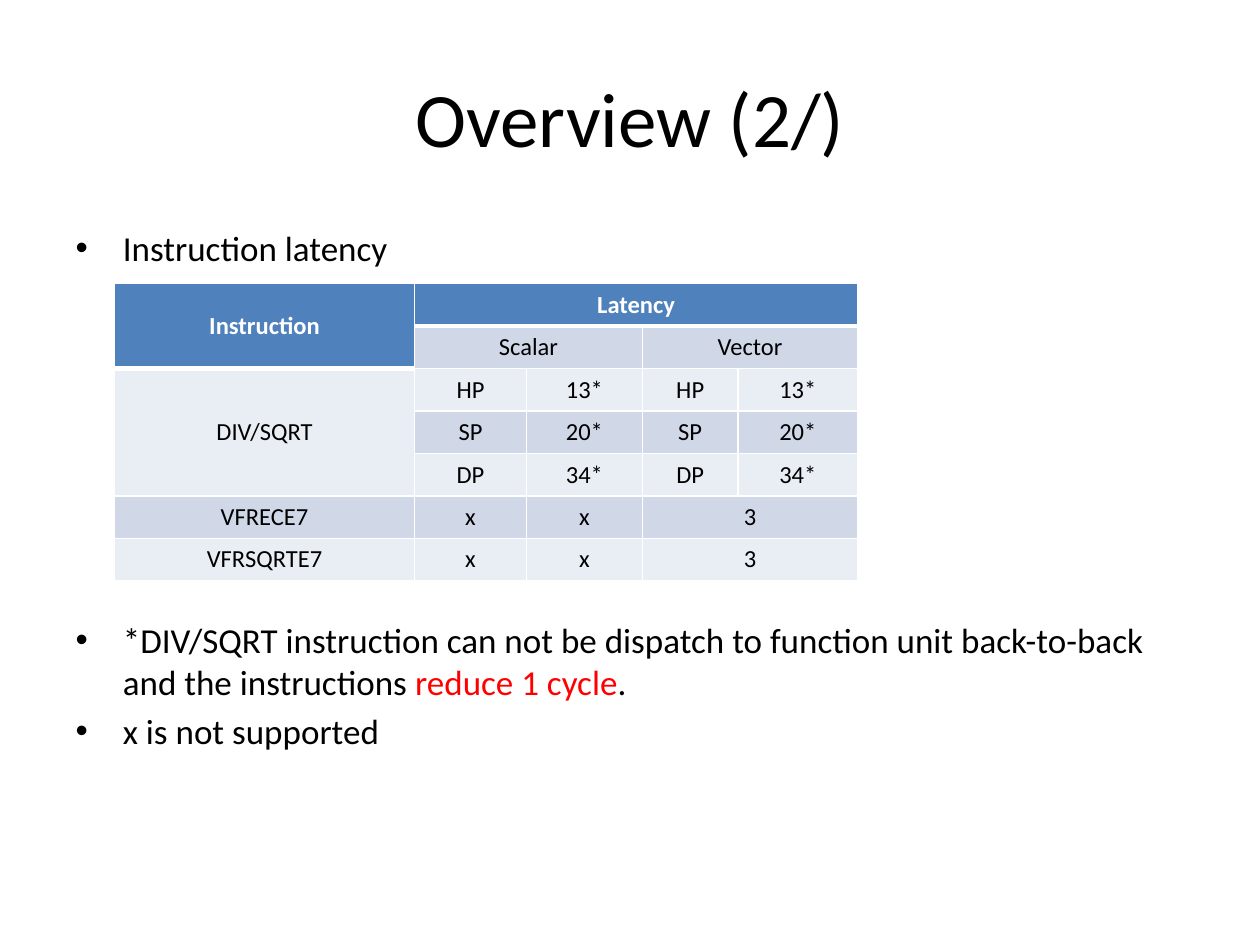
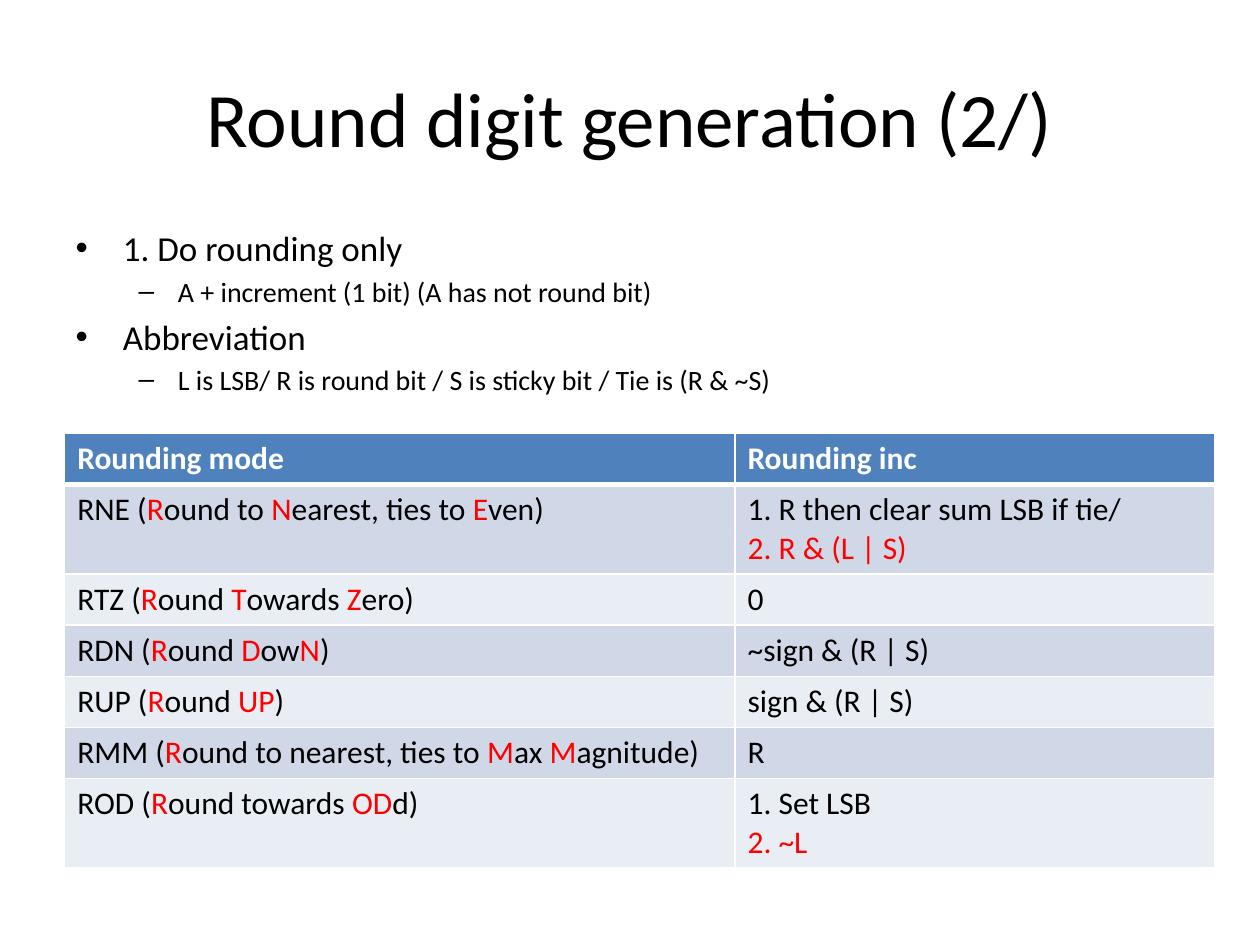
from lxml import etree
from pptx import Presentation
from pptx.dml.color import RGBColor
from pptx.enum.text import MSO_ANCHOR, MSO_AUTO_SIZE, PP_ALIGN
from pptx.oxml.ns import qn
from pptx.util import Pt

LEFT, CENTER = PP_ALIGN.LEFT, PP_ALIGN.CENTER
TOP, MIDDLE = MSO_ANCHOR.TOP, MSO_ANCHOR.MIDDLE
FIXED = MSO_AUTO_SIZE.NONE
FACE = "Calibri"
BLACK, WHITE, RED = "000000", "FFFFFF", "FF0000"
HEAD, BANDS = "4F81BD", ("E9EDF4", "D0D8E8")
paint = RGBColor.from_string


def write(para, text, size, color=BLACK, bold=False):
    para.font.name = FACE
    para.font.size = Pt(size)
    para.font.bold = bold
    para.font.color.rgb = paint(color)
    for i, part in enumerate(text.split("^")):
        if part:
            run = para.add_run()
            run.text = part
            run.font.color.rgb = paint(RED if i % 2 else color)


def edge(cell, widths):
    props = cell._tc.get_or_add_tcPr()
    for i, (side, width) in enumerate(widths.items()):
        line = etree.Element(qn("a:ln" + side), w=str(Pt(width)))
        fill = etree.SubElement(line, qn("a:solidFill"))
        etree.SubElement(fill, qn("a:srgbClr"), val=WHITE)
        props.insert(i, line)


slides = [
    {
        "title": "Overview (2/)",
        "list": [
            (0, 0, "Instruction latency"),
            (0, 200, "*DIV/SQRT instruction can not be dispatch to function unit "
                     "back-to-back and the instructions ^reduce 1 cycle^."),
            (0, 4, "x is not supported"),
        ],
        "at": (65.5, 162), "size": 14, "align": CENTER, "anchor": MIDDLE,
        "cols": [171.4, 64, 66.2, 54.7, 68.4],
        "rows": [24.2] * 7,
        "spans": [(0, 0, 1, 0), (0, 1, 0, 4), (1, 1, 1, 2), (1, 3, 1, 4),
                  (2, 0, 4, 0), (5, 3, 5, 4), (6, 3, 6, 4)],
        "cells": [
            ["Instruction", "Latency", "", "", ""],
            ["", "Scalar", "", "Vector", ""],
            ["DIV/SQRT", "HP", "13*", "HP", "13*"],
            ["", "SP", "20*", "SP", "20*"],
            ["", "DP", "34*", "DP", "34*"],
            ["VFRECE7", "x", "x", "3", ""],
            ["VFRSQRTE7", "x", "x", "3", ""],
        ],
    },
    {
        "title": "Round digit generation (2/)",
        "list": [
            (0, 0, "1. Do rounding only"),
            (1, 3.2, "A + increment (1 bit) (A has not round bit)"),
            (0, 4, "Abbreviation"),
            (1, 3.2, "L is LSB/ R is round bit / S is sticky bit / Tie is (R & ~S)"),
        ],
        "at": (37, 247.7), "size": 18, "align": LEFT, "anchor": TOP,
        "cols": [383, 274.3],
        "rows": [29.2, 51, 29.2, 29.2, 29.2, 29.2, 51],
        "spans": [],
        "cells": [
            ["Rounding mode", "Rounding inc"],
            ["RNE (^R^ound to ^N^earest, ties to ^E^ven)",
             "1. R then clear sum LSB if tie/\n^2. R & (L | S)^"],
            ["RTZ (^R^ound ^T^owards ^Z^ero)", "0"],
            ["RDN (^R^ound ^D^ow^N^)", "~sign & (R | S)"],
            ["RUP (^R^ound ^UP^)", "sign & (R | S)"],
            ["RMM (^R^ound to nearest, ties to ^M^ax ^M^agnitude)", "R"],
            ["ROD (^R^ound towards ^OD^d)", "1. Set LSB\n^2. ~L^"],
        ],
    },
]

deck = Presentation()
deck.slide_width, deck.slide_height = Pt(720), Pt(540)

for data in slides:
    slide = deck.slides.add_slide(deck.slide_layouts[1])
    title, body = slide.placeholders
    for box, top, height in ((title, 21.6, 90), (body, 126, 356.4)):
        box.left, box.top = Pt(36), Pt(top)
        box.width, box.height = Pt(648), Pt(height)
        box.text_frame.auto_size = FIXED
    para = title.text_frame.paragraphs[0]
    para.alignment = CENTER
    write(para, data["title"], 44)

    frame = body.text_frame
    for i, (level, gap, text) in enumerate(data["list"]):
        para = frame.add_paragraph() if i else frame.paragraphs[0]
        para.level = level
        para.space_before = Pt(gap)
        write(para, text, 16 if level else 20)

    cols, rows = data["cols"], data["rows"]
    left, top = data["at"]
    table = slide.shapes.add_table(
        len(rows), len(cols), Pt(left), Pt(top), Pt(sum(cols)), Pt(sum(rows))).table
    for col, width in zip(table.columns, cols):
        col.width = Pt(width)
    for row, height in zip(table.rows, rows):
        row.height = Pt(height)
    for r1, c1, r2, c2 in data["spans"]:
        table.cell(r1, c1).merge(table.cell(r2, c2))

    for r, line in enumerate(data["cells"]):
        for c, text in enumerate(line):
            cell = table.cell(r, c)
            head = r == 0 or (r == 1 and c == 0 and cell.is_spanned)
            cell.fill.solid()
            cell.fill.fore_color.rgb = paint(HEAD if head else BANDS[r % 2])
            cell.vertical_anchor = data["anchor"]
            widths = {"L": 1, "R": 1}
            if r == 0:
                widths["T"] = 1
            widths["B"] = 3 if head else 1
            edge(cell, widths)
            if not text:
                continue
            for i, part in enumerate(text.split("\n")):
                frame = cell.text_frame
                para = frame.add_paragraph() if i else frame.paragraphs[0]
                para.alignment = data["align"]
                write(para, part, data["size"], WHITE if head else BLACK, head)

deck.save("out.pptx")
